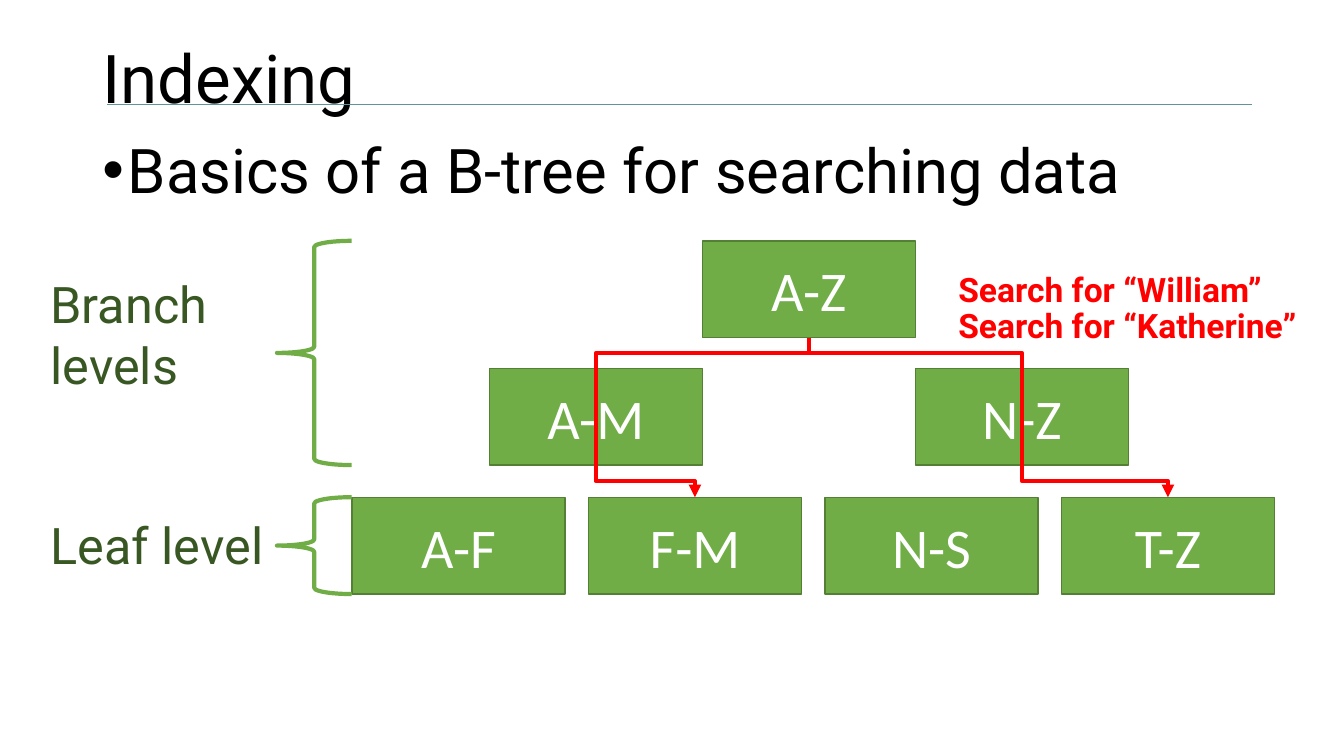
from pptx import Presentation
from pptx.dml.color import RGBColor
from pptx.enum.shapes import MSO_CONNECTOR, MSO_SHAPE
from pptx.enum.text import MSO_ANCHOR, MSO_AUTO_SIZE, PP_ALIGN
from pptx.oxml.ns import qn
from pptx.util import Cm, Pt
from lxml import etree

STRAIGHT, ELBOW = MSO_CONNECTOR.STRAIGHT, MSO_CONNECTOR.ELBOW
RECTANGLE, LEFT_BRACE = MSO_SHAPE.RECTANGLE, MSO_SHAPE.LEFT_BRACE
TOP, MIDDLE = MSO_ANCHOR.TOP, MSO_ANCHOR.MIDDLE
LEFT, CENTER = PP_ALIGN.LEFT, PP_ALIGN.CENTER
NO_AUTOFIT = MSO_AUTO_SIZE.NONE

# Content
TITLE = "Indexing"
BULLET = "Basics of a B-tree for searching data"
ROOT = "A-Z"
BRANCHES = ["A-M", "N-Z"]
LEAVES = ["A-F", "F-M", "N-S", "T-Z"]
LEVEL_LABELS = ["Branch levels", "Leaf level"]
SEARCHES = [  # label, top, width, branch, leaf
    ("Search for “William”", 6.65, 8.89, "N-Z", "T-Z"),
    ("Search for “Katherine”", 7.57, 9.68, "A-M", "F-M"),
]

# Formats
BLACK, WHITE, RED = "000000", "FFFFFF", "FF0000"
GREEN, EDGE_GREEN, DARK_GREEN, TEAL = "70AD47", "538035", "385723", "639394"
TITLE_FONT = {"name": "Roboto", "size": Pt(48), "bold": False}
BULLET_FONT = {"name": "Roboto", "size": Pt(44)}
NODE_FONT = {"name": "Calibri", "size": Pt(40)}
LABEL_FONT = {"name": "Roboto", "size": Pt(36)}
SEARCH_FONT = {"name": "Roboto", "size": Pt(24), "bold": True}

# Tree geometry in cm
NODE_W, NODE_H = 5.37, 2.44
ROOT_X, ROOT_Y = 17.7, 6.07
BRANCH_Y, LEAF_Y = 9.28, 12.53
LEAF_X, LEAF_STEP = 8.87, 5.96
BRACE_X, BRACE_W = 6.98, 1.88


def rgb(color):
    return RGBColor.from_string(color)


def apply(target, values):
    for name, value in values.items():
        setattr(target, name, value)


def write(shape, lines, font, color, align=LEFT, anchor=TOP, **spacing):
    frame = shape.text_frame
    apply(frame, {"text": "\n".join(lines), "word_wrap": True,
                  "auto_size": NO_AUTOFIT, "vertical_anchor": anchor})
    for paragraph in frame.paragraphs:
        apply(paragraph, {"alignment": align, **spacing})
        apply(paragraph.font, font)
        paragraph.font.color.rgb = rgb(color)
    return frame


def add_text(left, top, width, height):
    return slide.shapes.add_textbox(Cm(left), Cm(top), Cm(width), Cm(height))


def add_shape(kind, left, top, width, height, fill, edge, weight):
    shape = slide.shapes.add_shape(kind, Cm(left), Cm(top), Cm(width), Cm(height))
    shape.shadow.inherit = False
    if fill:
        shape.fill.solid()
        shape.fill.fore_color.rgb = rgb(fill)
    else:
        shape.fill.background()
    shape.line.color.rgb = rgb(edge)
    shape.line.width = Pt(weight)
    return shape


def add_line(kind, start, end, color, weight, arrow=False):
    connector = slide.shapes.add_connector(kind, *map(Cm, start + end))
    connector.line.color.rgb = rgb(color)
    connector.line.width = Pt(weight)
    properties = connector._element.spPr
    etree.SubElement(properties, qn("a:effectLst"))
    if arrow:
        etree.SubElement(properties.find(qn("a:ln")), qn("a:tailEnd"), type="triangle")
    return connector


def add_drop(start, end, arrow=False):
    """Elbow that leaves downwards: a sideways elbow turned about its centre."""
    (x1, y1), (x2, y2) = start, end
    middle_x, middle_y = (x1 + x2) / 2, (y1 + y2) / 2
    half_w, half_h = (y2 - y1) / 2, abs(x2 - x1) / 2
    side, degrees = (1, 270) if x2 > x1 else (-1, 90)
    elbow = add_line(ELBOW, (middle_x + side * half_w, middle_y - half_h),
                     (middle_x - side * half_w, middle_y + half_h), RED, 3, arrow)
    elbow._element.spPr.find(qn("a:xfrm")).set("rot", str(degrees * 60000))


presentation = Presentation()
presentation.slide_width, presentation.slide_height = Cm(33.87), Cm(19.05)
slide = presentation.slides.add_slide(presentation.slide_layouts[5])

# Title with its rule
add_line(STRAIGHT, (2.7, 2.64), (31.54, 2.64), TEAL, 1)
title = slide.shapes.title
apply(title, {"left": Cm(2.33), "top": Cm(1.01), "width": Cm(29.21), "height": Cm(2.1)})
write(title, [TITLE], TITLE_FONT, BLACK, anchor=MIDDLE, line_spacing=0.9)

# Bullet
statement = add_text(2.33, 3.4, 29.21, 2.2)
bullet_properties = statement.text_frame.paragraphs[0]._p.get_or_add_pPr()
bullet_properties.set("marL", str(Cm(0.64)))
bullet_properties.set("indent", str(-Cm(0.64)))
etree.SubElement(bullet_properties, qn("a:buFont"), typeface="Arial")
etree.SubElement(bullet_properties, qn("a:buChar"), char="•")
statement.text_frame.paragraphs[0].add_run().text = BULLET
bullet_paragraph = statement.text_frame.paragraphs[0]
statement.text_frame.word_wrap = True
bullet_paragraph.line_spacing = 0.9
apply(bullet_paragraph.font, BULLET_FONT)
bullet_paragraph.font.color.rgb = rgb(BLACK)

# Tree nodes: branches sit one node width to either side of the root
nodes = {ROOT: (ROOT_X, ROOT_Y)}
for side, branch in zip((-1, 1), BRANCHES):
    nodes[branch] = (ROOT_X + side * NODE_W, BRANCH_Y)
for column, leaf in enumerate(LEAVES):
    nodes[leaf] = (LEAF_X + column * LEAF_STEP, LEAF_Y)
for key_range, (left, top) in nodes.items():
    node = add_shape(RECTANGLE, left, top, NODE_W, NODE_H, GREEN, EDGE_GREEN, 1)
    write(node, [key_range], NODE_FONT, WHITE, CENTER, MIDDLE)

# Level labels and braces
levels = write(add_text(1.02, 6.76, 6.38, 7.95), LEVEL_LABELS, LABEL_FONT, DARK_GREEN)
levels.paragraphs[1].space_before = Pt(86)
for top, bottom in ((ROOT_Y, BRANCH_Y + NODE_H), (LEAF_Y, LEAF_Y + NODE_H)):
    add_shape(LEFT_BRACE, BRACE_X, top, BRACE_W, bottom - top, None, GREEN, 3)


# Search routes from the root through a branch to a leaf
def node_top(key_range):
    left, top = nodes[key_range]
    return left + NODE_W / 2, top


def node_bottom(key_range):
    center, top = node_top(key_range)
    return center, top + NODE_H


for label, top, width, branch, leaf in SEARCHES:
    add_drop(node_bottom(ROOT), node_top(branch))
    add_line(STRAIGHT, node_top(branch), node_bottom(branch), RED, 3)
    add_drop(node_bottom(branch), node_top(leaf), arrow=True)
    write(add_text(23.9, top, width, 1.27), [label], SEARCH_FONT, RED)

presentation.save("out.pptx")
